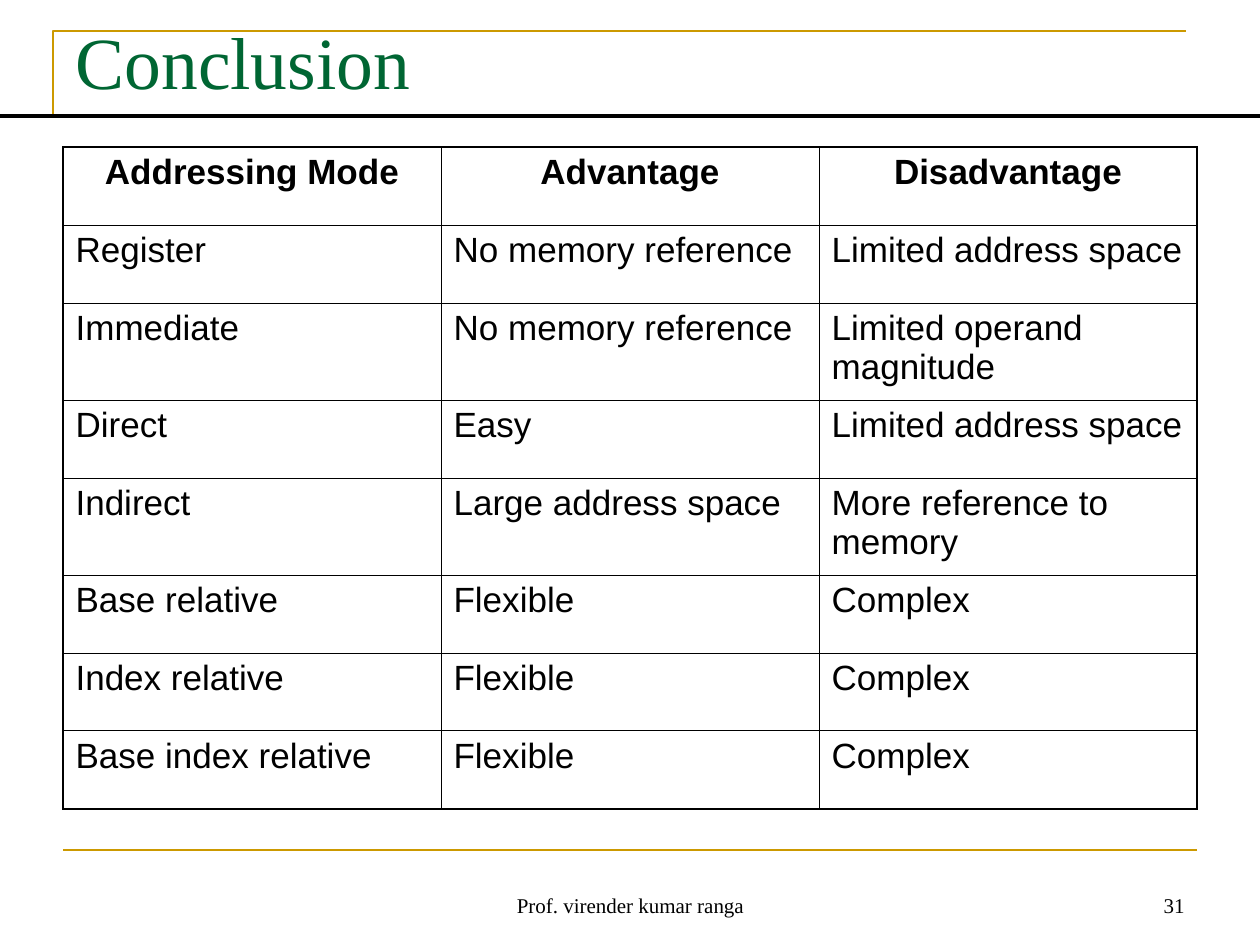
import pptx
import pptx.util
import pptx.dml.color
import pptx.enum.shapes
import pptx.enum.text
import pptx.oxml

GOLD = pptx.dml.color.RGBColor(0xCC, 0x99, 0x00)
GREEN = pptx.dml.color.RGBColor(0x00, 0x66, 0x33)
BLACK = pptx.dml.color.RGBColor(0x00, 0x00, 0x00)
PX = 914400 / 126
THIN, THICK = 0.45, 1.08
NAMESPACE = 'xmlns:a="http://schemas.openxmlformats.org/drawingml/2006/main"'
ALIGN = pptx.enum.text.PP_ALIGN
ANCHOR = pptx.enum.text.MSO_ANCHOR


def px(*lengths):
    return [round(length * PX) for length in lengths]


def write(frame, text, size=12, font="Times New Roman", color=BLACK,
          bold=False, align=ALIGN.LEFT, anchor=None):
    frame.word_wrap = True
    if anchor is not None:
        frame.vertical_anchor = anchor
    para = frame.paragraphs[0]
    para.alignment = align
    span = para.add_run()
    span.text = text
    span.font.size = pptx.util.Pt(size)
    span.font.name = font
    span.font.color.rgb = color
    span.font.bold = bold


deck = pptx.Presentation()
deck.slide_width, deck.slide_height = px(1260, 945)
page = deck.slides.add_slide(deck.slide_layouts[5])

# Gold corner above the title
outline = page.shapes.build_freeform(53, 116, scale=PX)
outline.add_line_segments([(53, 31), (1186, 31)], close=False)
corner = outline.convert_to_shape()
corner.shadow.inherit = False
corner.fill.background()
corner.line.color.rgb = GOLD
corner.line.width = pptx.util.Pt(1.5)

# Rules: gold above the footer, black below the title
for left, right, y, color, width in [(63, 1197, 850, GOLD, 1.5),
                                     (0, 1260, 116, BLACK, 2)]:
    rule = page.shapes.add_connector(
        pptx.enum.shapes.MSO_CONNECTOR.STRAIGHT, *px(left, y, right, y))
    rule.line.color.rgb = color
    rule.line.width = pptx.util.Pt(width)
    rule._element.spPr.append(pptx.oxml.parse_xml(f"<a:effectLst {NAMESPACE}/>"))

# Title
title = page.shapes.title
title.left, title.top, title.width, title.height = px(63, 10, 1134, 158)
write(title.text_frame, "Conclusion", size=42, color=GREEN, anchor=ANCHOR.TOP)

# Table of addressing modes
rows = [
    ("Addressing Mode", "Advantage", "Disadvantage"),
    ("Register", "No memory reference", "Limited address space"),
    ("Immediate", "No memory reference", "Limited operand magnitude"),
    ("Direct", "Easy", "Limited address space"),
    ("Indirect", "Large address space", "More reference to memory"),
    ("Base relative", "Flexible", "Complex"),
    ("Index relative", "Flexible", "Complex"),
    ("Base index relative", "Flexible", "Complex"),
]
heights = [78, 78, 97, 78, 97, 78, 78, 78]
last_row, last_column = len(rows) - 1, len(rows[0]) - 1
table = page.shapes.add_table(
    len(rows), len(rows[0]), *px(63, 147, 1134, sum(heights))).table
table.first_row = False
table.horz_banding = False
for column in table.columns:
    column.width = px(378)[0]
for r, texts in enumerate(rows):
    table.rows[r].height = px(heights[r])[0]
    for c, text in enumerate(texts):
        cell = table.cell(r, c)
        write(cell.text_frame, text, size=20, font="Arial", bold=r == 0,
              align=ALIGN.CENTER if r == 0 else ALIGN.LEFT)
        cell.fill.background()
        # Thick lines on the outer frame, thin lines inside
        outer = {"L": c == 0, "R": c == last_column,
                 "T": r == 0, "B": r == last_row}
        for place, (side, is_outer) in enumerate(outer.items()):
            width = pptx.util.Pt(THICK if is_outer else THIN)
            border = pptx.oxml.parse_xml(
                f'<a:ln{side} {NAMESPACE} w="{width}"><a:solidFill>'
                f'<a:srgbClr val="{BLACK}"/></a:solidFill></a:ln{side}>')
            cell._tc.get_or_add_tcPr().insert(place, border)

# Footer and page number
for left, width, text, align in [
        (431, 399, "Prof. virender kumar ranga", ALIGN.CENTER),
        (903, 294, "31", ALIGN.RIGHT)]:
    box = page.shapes.add_textbox(*px(left, 861, width, 63))
    write(box.text_frame, text, align=align, anchor=ANCHOR.BOTTOM)

deck.save("out.pptx")
